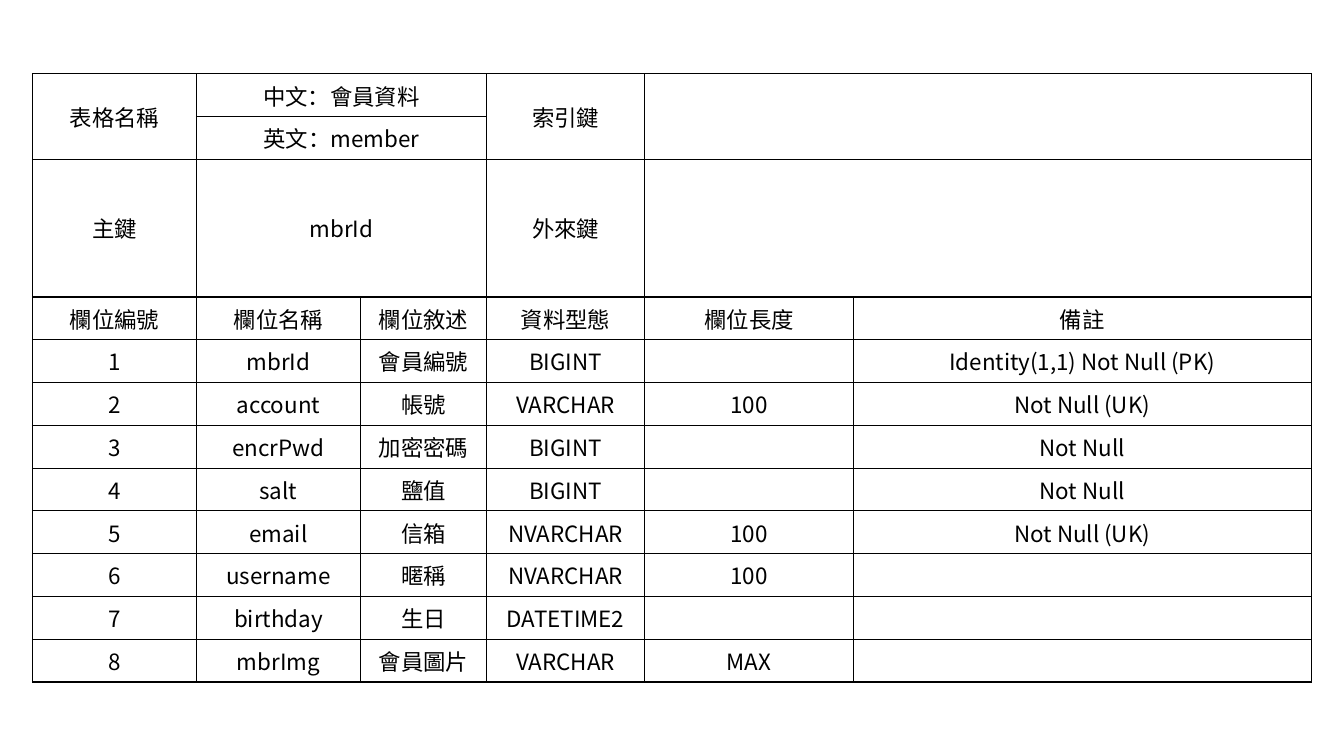
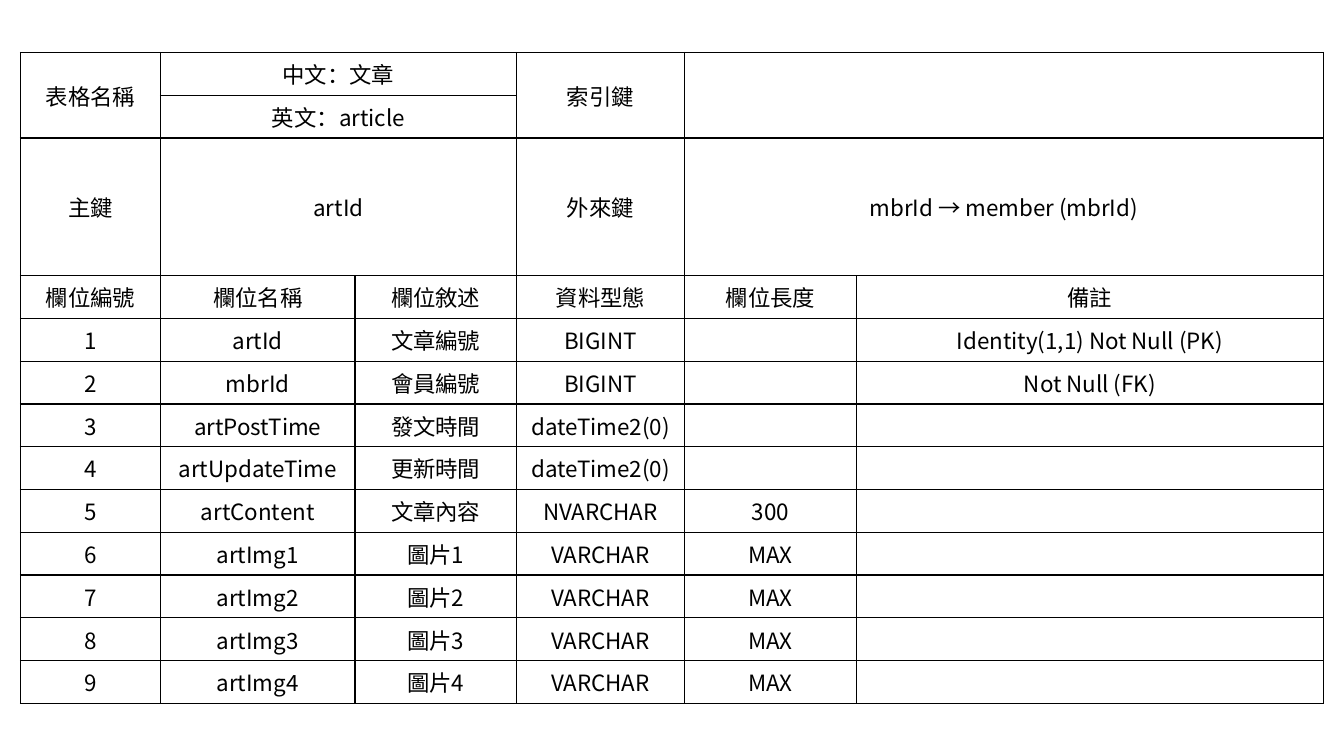
from lxml import etree
from pptx import Presentation
from pptx import util as u
from pptx.dml.color import RGBColor
from pptx.enum import text
from pptx.oxml import ns

HEADINGS = ["欄位編號", "欄位名稱", "欄位敘述", "資料型態", "欄位長度", "備註"]
# First row, first column, last row, last column of each merged block
MERGES = [(0, 0, 1, 0), (0, 1, 0, 2), (1, 1, 1, 2), (0, 3, 1, 3),
          (0, 4, 1, 5), (2, 1, 2, 2), (2, 4, 2, 5)]
KEY_ROW = 2

# Column widths are percentages of the slide width
MEMBER = dict(
    chinese="會員資料", english="member", primary="mbrId", foreign="",
    widths=[12.2, 12.2, 9.38, 11.79, 15.51, 34.08],
    fields=[
        ("mbrId", "會員編號", "BIGINT", "", "Identity(1,1) Not Null (PK)"),
        ("account", "帳號", "VARCHAR", "100", "Not Null (UK)"),
        ("encrPwd", "加密密碼", "BIGINT", "", "Not Null"),
        ("salt", "鹽值", "BIGINT", "", "Not Null"),
        ("email", "信箱", "NVARCHAR", "100", "Not Null (UK)"),
        ("username", "暱稱", "NVARCHAR", "100", ""),
        ("birthday", "生日", "DATETIME2", "", ""),
        ("mbrImg", "會員圖片", "VARCHAR", "MAX", ""),
    ])
ARTICLE = dict(
    chinese="文章", english="article", primary="artId",
    foreign="mbrId → member (mbrId)",
    widths=[10.42, 14.47, 12.02, 12.5, 12.8, 34.75],
    fields=[
        ("artId", "文章編號", "BIGINT", "", "Identity(1,1) Not Null (PK)"),
        ("mbrId", "會員編號", "BIGINT", "", "Not Null (FK)"),
        ("artPostTime", "發文時間", "dateTime2(0)", "", ""),
        ("artUpdateTime", "更新時間", "dateTime2(0)", "", ""),
        ("artContent", "文章內容", "NVARCHAR", "300", ""),
        *[(f"artImg{n}", f"圖片{n}", "VARCHAR", "MAX", "") for n in range(1, 5)],
    ])


def color(hex_string):
    return RGBColor.from_string(hex_string)


class SchemaDeck:
    FONT, SIZE = "Noto Sans CJK TC", 16
    INK, PAPER = "000000", "FFFFFF"
    BORDER = 1
    ROW, TALL_ROW = 5.66, 18.2  # percentages of the slide height

    def __init__(self):
        self.deck = Presentation()
        self.deck.slide_width = u.Inches(13.33)
        self.deck.slide_height = u.Inches(7.5)
        self.slide = None

    def add_slide(self):
        self.slide = self.deck.slides.add_slide(self.deck.slide_layouts[6])

    def add_schema(self, chinese, english, primary, foreign, widths, fields):
        """Draw one database table's description, centred on the slide."""
        rows = [
            ["表格名稱", f"中文：{chinese}", "", "索引鍵", "", ""],
            ["", f"英文：{english}", "", "", "", ""],
            ["主鍵", primary, "", "外來鍵", foreign, ""],
            HEADINGS,
            *[[str(n), *field] for n, field in enumerate(fields, 1)],
        ]
        heights = [self.TALL_ROW if r == KEY_ROW else self.ROW
                   for r in range(len(rows))]
        slide_width, slide_height = self.deck.slide_width, self.deck.slide_height
        columns = [int(slide_width * share / 100) for share in widths]
        lines = [int(slide_height * share / 100) for share in heights]
        width, height = sum(columns), sum(lines)
        table = self.slide.shapes.add_table(
            len(rows), len(columns), (slide_width - width) // 2,
            (slide_height - height) // 2, width, height).table
        for column, size in zip(table.columns, columns):
            column.width = size
        for row, size in zip(table.rows, lines):
            row.height = size
        for r, values in enumerate(rows):
            for c, value in enumerate(values):
                self.format_cell(table.cell(r, c), value)
        for top, left, bottom, right in MERGES:
            table.cell(top, left).merge(table.cell(bottom, right))

    def format_cell(self, cell, value):
        cell.fill.solid()
        cell.fill.fore_color.rgb = color(self.PAPER)
        self.add_borders(cell)
        cell.vertical_anchor = text.MSO_ANCHOR.MIDDLE
        cell.text_frame.text = value
        para = cell.text_frame.paragraphs[0]
        para.alignment = text.PP_ALIGN.CENTER
        for span in para.runs:
            span.font.size = u.Pt(self.SIZE)
            span.font.bold = False
            span.font.color.rgb = color(self.INK)
            span.font.name = self.FONT
            etree.SubElement(span.font._element, ns.qn("a:ea"), typeface=self.FONT)

    def add_borders(self, cell):
        properties = cell._tc.get_or_add_tcPr()
        for position, side in enumerate("LRTB"):
            line = etree.Element(ns.qn(f"a:ln{side}"), w=str(u.Pt(self.BORDER)))
            fill = etree.SubElement(line, ns.qn("a:solidFill"))
            etree.SubElement(fill, ns.qn("a:srgbClr"), val=self.INK)
            properties.insert(position, line)


def main():
    schema_deck = SchemaDeck()
    for schema in (MEMBER, ARTICLE):
        schema_deck.add_slide()
        schema_deck.add_schema(**schema)
    schema_deck.deck.save("out.pptx")


if __name__ == "__main__":
    main()
